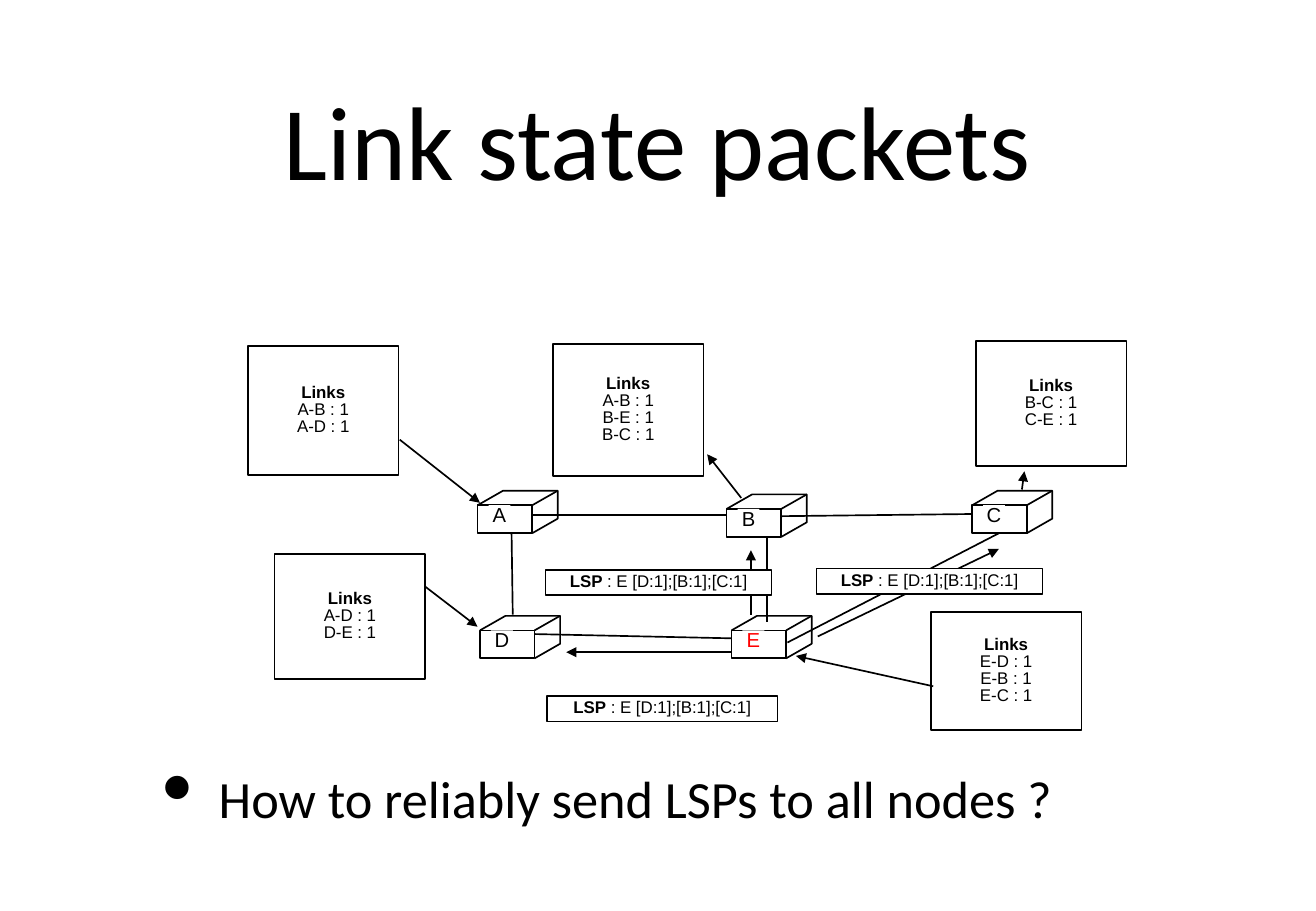
from dataclasses import dataclass

from lxml.etree import SubElement
from pptx import Presentation
from pptx.dml.color import RGBColor
from pptx.enum.shapes import MSO_CONNECTOR as Connector, MSO_SHAPE as Preset
from pptx.enum.text import MSO_ANCHOR as Anchor, PP_ALIGN as Align
from pptx.oxml.ns import qn
from pptx.util import Inches, Pt


@dataclass(frozen=True)
class Theme:
    black: RGBColor = RGBColor(0, 0, 0)
    white: RGBColor = RGBColor(255, 255, 255)
    red: RGBColor = RGBColor(255, 0, 0)
    heading_font: str = "Calibri"
    diagram_font: str = "Arial"
    title_size: float = 62
    bullet_size: float = 31
    router_size: float = 12
    caption_size: float = 10
    line_width: float = 1
    line_spacing: float = 0.84


@dataclass(frozen=True)
class Router:
    name: str
    left: float
    top: float
    color: RGBColor


@dataclass(frozen=True)
class LinkTable:
    left: float
    top: float
    height: float
    links: tuple[str, ...]


@dataclass(frozen=True)
class Packet:
    left: float
    top: float
    width: float


@dataclass(frozen=True)
class Line:
    x1: float
    y1: float
    x2: float
    y2: float


THEME = Theme()
FACE_WIDTH, FACE_HEIGHT = 0.45, 0.23
DEPTH_X, DEPTH_Y = 0.21, 0.12
TABLE_WIDTH, PACKET_HEIGHT = 1.24, 0.21

ROUTERS = [
    Router("A", 3.93, 4.16, THEME.black),
    Router("B", 5.98, 4.19, THEME.black),
    Router("C", 8.0, 4.16, THEME.black),
    Router("D", 3.95, 5.19, THEME.black),
    Router("E", 6.02, 5.19, THEME.red),
]
LINK_TABLES = [
    LinkTable(2.04, 2.85, 1.06, ("A-B", "A-D")),
    LinkTable(4.55, 2.83, 1.09, ("A-B", "B-E", "B-C")),
    LinkTable(8.03, 2.81, 1.03, ("B-C", "C-E")),
    LinkTable(2.26, 4.56, 1.03, ("A-D", "D-E")),
    LinkTable(7.66, 5.04, 0.97, ("E-D", "E-B", "E-C")),
]
PACKETS = [Packet(4.5, 5.73, 1.9), Packet(4.49, 4.69, 1.86), Packet(6.72, 4.68, 1.86)]
CABLES = [
    Line(4.21, 4.39, 4.22, 5.06),  # A-D
    Line(4.38, 5.22, 6.24, 5.26),  # D-E
    Line(4.35, 4.24, 6.22, 4.24),  # A-B
    Line(6.31, 4.37, 6.31, 5.12),  # B-E
    Line(6.48, 5.29, 8.24, 4.38),  # E-C
    Line(6.39, 4.25, 8.15, 4.23),  # B-C
]
TABLE_ARROWS = [
    Line(3.29, 3.62, 3.95, 4.14),
    Line(6.1, 4.1, 5.82, 3.74),
    Line(8.41, 4.03, 8.43, 3.88),
    Line(3.5, 4.83, 3.93, 5.16),
    Line(7.68, 5.65, 6.55, 5.4),
]
PACKET_ARROWS = [
    Line(6.02, 5.37, 4.66, 5.37),
    Line(6.18, 5.06, 6.18, 4.53),
    Line(6.73, 5.24, 8.22, 4.52),
]


def format_run(run, font_name: str, size: float, color: RGBColor, bold: bool = False) -> None:
    run.font.name = font_name
    run.font.size = Pt(size)
    run.font.bold = bold
    run.font.color.rgb = color


def set_frame(text_frame, margin: float, anchor, wrap: bool = True) -> None:
    text_frame.margin_left = text_frame.margin_right = Inches(margin)
    text_frame.margin_top = text_frame.margin_bottom = Inches(margin)
    text_frame.vertical_anchor = anchor
    text_frame.word_wrap = wrap


def outline(shape) -> None:
    shape.shadow.inherit = False
    shape.line.color.rgb = THEME.black
    shape.line.width = Pt(THEME.line_width)


def add_heading(slide, text: str, top: float, height: float, size: float):
    box = slide.shapes.add_textbox(Inches(1.04), Inches(top), Inches(8.74), Inches(height))
    set_frame(box.text_frame, 0.04, Anchor.MIDDLE)
    box.text_frame.text = text
    paragraph = box.text_frame.paragraphs[0]
    format_run(paragraph.runs[0], THEME.heading_font, size, THEME.black)
    return paragraph


def add_bullet(paragraph) -> None:
    paragraph.space_before = Pt(17.7)
    properties = paragraph._p.get_or_add_pPr()
    properties.set("marL", str(Inches(0.72)))
    properties.set("indent", str(Inches(-0.46)))
    SubElement(properties, qn("a:buSzPct"), val="171000")
    SubElement(properties, qn("a:buChar"), char="•")


def add_line(slide, line: Line, arrow: bool = False) -> None:
    connector = slide.shapes.add_connector(
        Connector.STRAIGHT, Inches(line.x1), Inches(line.y1), Inches(line.x2), Inches(line.y2))
    connector.line.color.rgb = THEME.black
    connector.line.width = Pt(THEME.line_width)
    if arrow:
        SubElement(connector.line._get_or_add_ln(), qn("a:tailEnd"), type="triangle")
    SubElement(connector._element.spPr, qn("a:effectLst"))


def add_box(slide, left: float, top: float, width: float, height: float):
    box = slide.shapes.add_shape(
        Preset.RECTANGLE, Inches(left), Inches(top), Inches(width), Inches(height))
    outline(box)
    box.fill.solid()
    box.fill.fore_color.rgb = THEME.white
    return box


def add_caption_box(slide, left: float, top: float, width: float, height: float,
                    rows: list[list[str]]) -> None:
    """Draw a box of centred rows whose very first run is bold."""
    text_frame = add_box(slide, left, top, width, height).text_frame
    set_frame(text_frame, 0, Anchor.MIDDLE)
    for row_index, row in enumerate(rows):
        paragraph = text_frame.add_paragraph() if row_index else text_frame.paragraphs[0]
        paragraph.alignment = Align.CENTER
        paragraph.line_spacing = THEME.line_spacing
        for run_index, text in enumerate(row):
            run = paragraph.add_run()
            run.text = text
            format_run(run, THEME.diagram_font, THEME.caption_size, THEME.black,
                       bold=row_index == run_index == 0)


def add_router(slide, router: Router) -> None:
    add_box(slide, router.left, router.top, FACE_WIDTH, FACE_HEIGHT)

    # Top and side edges, left unfilled so that cables show through
    left, right = Inches(router.left), Inches(router.left + FACE_WIDTH)
    top, bottom = Inches(router.top), Inches(router.top + FACE_HEIGHT)
    depth_x, depth_y = Inches(DEPTH_X), Inches(DEPTH_Y)
    builder = slide.shapes.build_freeform(left, top)
    builder.add_line_segments([
        (left + depth_x, top - depth_y), (right + depth_x, top - depth_y),
        (right + depth_x, bottom - depth_y), (right, bottom)], close=False)
    builder.move_to(right, top)
    builder.add_line_segments([(right + depth_x, top - depth_y)], close=False)
    edges = builder.convert_to_shape()
    edges.fill.background()
    outline(edges)

    # Name on the front face
    label = slide.shapes.add_textbox(
        Inches(router.left + 0.09), Inches(router.top), Inches(0.18), Inches(0.2))
    label.fill.solid()
    label.fill.fore_color.rgb = THEME.white
    set_frame(label.text_frame, 0, Anchor.TOP, wrap=False)
    label.text_frame.margin_top = Inches(0.01)
    label.text_frame.text = router.name
    paragraph = label.text_frame.paragraphs[0]
    paragraph.alignment = Align.CENTER
    paragraph.line_spacing = THEME.line_spacing
    format_run(paragraph.runs[0], THEME.diagram_font, THEME.router_size, router.color)


def main() -> None:
    presentation = Presentation()
    presentation.slide_width, presentation.slide_height = Inches(10.83), Inches(7.5)
    slide = presentation.slides.add_slide(presentation.slide_layouts[6])

    # Title and question
    title = add_heading(slide, "Link state packets", 0.2, 1.88, THEME.title_size)
    title.alignment = Align.CENTER
    add_bullet(add_heading(slide, "How to reliably send LSPs to all nodes ?",
                           6.24, 0.66, THEME.bullet_size))

    # Network
    for cable in CABLES:
        add_line(slide, cable)
    for router in ROUTERS:
        add_router(slide, router)

    # Link tables, packets and their arrows
    for table in LINK_TABLES:
        rows = [["Links"]] + [[f"{link} : 1"] for link in table.links]
        add_caption_box(slide, table.left, table.top, TABLE_WIDTH, table.height, rows)
    for arrow in TABLE_ARROWS + PACKET_ARROWS:
        add_line(slide, arrow, arrow=True)
    for packet in PACKETS:
        add_caption_box(slide, packet.left, packet.top, packet.width, PACKET_HEIGHT,
                        [["LSP", " : E [D:1];[B:1];[C:1]"]])

    presentation.save("out.pptx")


if __name__ == "__main__":
    main()
